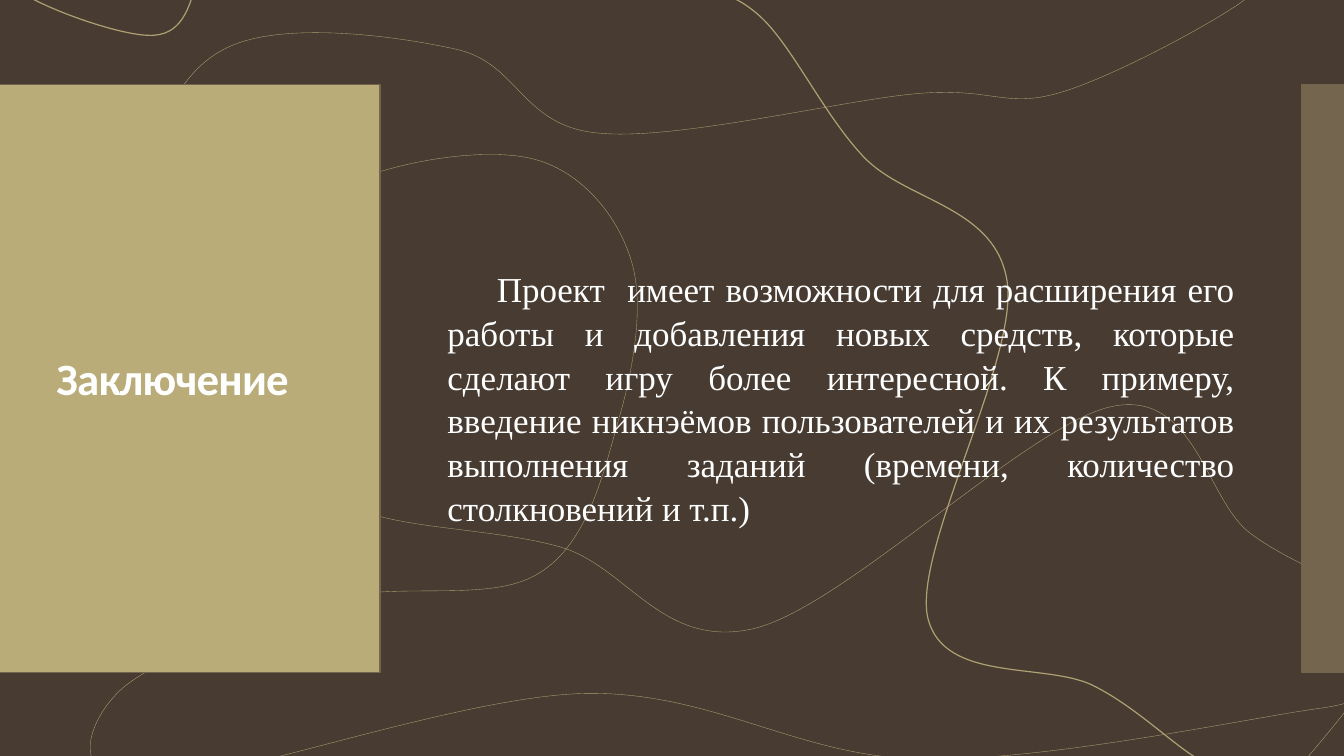
from dataclasses import dataclass
from itertools import chain
from lxml.etree import SubElement
from pptx import Presentation
from pptx.dml.color import RGBColor as RGB
from pptx.enum.shapes import MSO_SHAPE as SHAPE
from pptx.enum.text import MSO_ANCHOR as ANCHOR, PP_ALIGN as ALIGN
from pptx.oxml.ns import qn
from pptx.util import Inches, Pt

COLS, ROWS = 13.33, 7.5
PANEL_TOP, PANEL_ROWS = 0.84, 5.83


@dataclass(frozen=True)
class Theme:
    """Colours, fonts and sizes of the slide."""
    back: str = "41342E"
    sand: str = "B9AC78"
    umber: str = "74664E"
    text: str = "FFFFFF"
    title_font: str = "Calibri"
    body_font: str = "Times New Roman"
    title_size: float = 32
    body_size: float = 25
    thin: float = 0.25
    line: float = 0.85


class Deck:
    """Places elements on a slide by columns and rows of a one-inch grid."""

    def __init__(self, theme):
        """Open a title-only slide with a plain background."""
        self.theme = theme
        self.prs = Presentation()
        self.prs.slide_width, self.prs.slide_height = Inches(COLS), Inches(ROWS)
        self.s = self.prs.slides.add_slide(self.prs.slide_layouts[5])
        fill = self.s.background.fill
        fill.solid()
        fill.fore_color.rgb = RGB.from_string(theme.back)

    def panel(self, col, row, cols, rows, color, line=None, alpha=None):
        """Draw a filled rectangle, outlined or translucent on request."""
        sp = self.s.shapes.add_shape(SHAPE.RECTANGLE, *map(Inches, (col, row, cols, rows)))
        sp.shadow.inherit = False
        sp.fill.solid()
        sp.fill.fore_color.rgb = RGB.from_string(color)
        if alpha:
            srgb = next(sp._element.spPr.iter(qn("a:srgbClr")))
            SubElement(srgb, qn("a:alpha"), val=str(alpha * 1000))
        self.outline(sp, line, self.theme.line)

    def outline(self, sp, color, width):
        """Set or remove the outline of a shape."""
        if color is None:
            sp.line.fill.background()
            return
        sp.line.color.rgb = RGB.from_string(color)
        sp.line.width = Pt(width)

    def curve(self, width, start, *segments):
        """Draw an open line of cubic Bezier segments."""
        values = [Inches(v) for v in chain(start, *segments)]
        points = list(zip(values[::2], values[1::2]))
        builder = self.s.shapes.build_freeform(*points[0])
        builder.add_line_segments(points[1:], close=False)
        sp = builder.convert_to_shape()
        sp.shadow.inherit = False
        sp.fill.background()
        self.outline(sp, self.theme.sand, width)
        route = next(sp._element.iter(qn("a:path")))
        steps = route.findall(qn("a:lnTo"))
        for triple in zip(steps[::3], steps[1::3], steps[2::3]):
            bezier = SubElement(route, qn("a:cubicBezTo"))
            for step in triple:
                bezier.append(step[0])
                route.remove(step)

    def put_text(self, sp, box, text, font, size, align, bold=False):
        """Put one formatted paragraph into a shape and return it."""
        sp.left, sp.top, sp.width, sp.height = map(Inches, box)
        tf = sp.text_frame
        tf.text = text
        tf.word_wrap = True
        tf.vertical_anchor = ANCHOR.MIDDLE
        p = tf.paragraphs[0]
        p.alignment = align
        p.font.name, p.font.size, p.font.bold = font, Pt(size), bold
        p.font.color.rgb = RGB.from_string(self.theme.text)
        return p

    def body(self, box, text, indent):
        """Add the justified text with a first-line indent."""
        sp = self.s.shapes.add_textbox(*map(Inches, box))
        p = self.put_text(sp, box, text, self.theme.body_font, self.theme.body_size, ALIGN.JUSTIFY)
        p.line_spacing = 1.04
        pPr = p._p.get_or_add_pPr()
        pPr.set("marL", "0")
        pPr.set("indent", str(int(Inches(indent))))

    def title(self, box, text):
        """Fill the title placeholder and bring it to the front."""
        sp = self.s.shapes.title
        p = self.put_text(sp, box, text, self.theme.title_font, self.theme.title_size, ALIGN.LEFT, True)
        p.line_spacing = 0.9
        p.runs[0]._r.get_or_add_rPr().set("spc", "-60")
        self.s.shapes._spTree.append(sp._element)


def main():
    """Build the slide and save it."""
    t = Theme()
    deck = Deck(t)
    deck.curve(t.thin, (2.99, 4.24),
               (3.06, 4.55, 3.13, 4.85, 3.56, 5.05), (3.99, 5.25, 4.91, 5.24, 5.57, 5.43),
               (6.23, 5.63, 6.58, 6.46, 7.5, 6.23), (8.41, 5.99, 10.22, 4.19, 11.04, 4.03),
               (11.86, 3.87, 11.96, 4.96, 12.4, 5.29), (12.84, 5.62, 13.46, 5.8, 13.68, 6.02))
    deck.curve(t.line, (6.52, -0.09),
               (6.84, -0.12, 7.15, -0.16, 7.49, 0.12), (7.83, 0.39, 8.14, 1.1, 8.56, 1.55),
               (8.98, 2, 9.88, 2.04, 9.99, 2.8), (10.1, 3.56, 9.06, 5.45, 9.2, 6.12),
               (9.35, 6.79, 10.39, 6.56, 10.86, 6.81), (11.33, 7.05, 11.72, 7.48, 12, 7.59))
    deck.curve(t.thin, (1.32, 2.18),
               (1.5, 1.47, 1.68, 0.77, 2.22, 0.49), (2.75, 0.2, 3.91, 0.35, 4.53, 0.49),
               (5.15, 0.63, 5.17, 1.25, 5.93, 1.32), (6.69, 1.4, 8.32, 1, 9.08, 0.93),
               (9.84, 0.86, 9.96, 1.08, 10.51, 0.92), (11.06, 0.76, 12.14, 0.17, 12.38, -0.03))
    deck.curve(t.thin, (1.83, 3.29),
               (2.28, 2.73, 2.74, 2.17, 3.31, 1.88), (3.88, 1.6, 4.77, 1.46, 5.26, 1.57),
               (5.75, 1.68, 6.11, 2.12, 6.25, 2.55), (6.4, 2.98, 6.29, 3.63, 6.14, 4.15),
               (5.99, 4.68, 5.83, 5.4, 5.34, 5.69), (4.86, 5.99, 3.95, 5.76, 3.25, 5.95),
               (2.56, 6.15, 1.48, 6.56, 1.18, 6.86), (0.87, 7.16, 0.65, 7.76, 1.42, 7.76),
               (2.19, 7.77, 4.5, 6.92, 5.78, 6.88), (7.07, 6.85, 7.91, 7.51, 9.13, 7.53),
               (10.34, 7.56, 12.35, 7.13, 13.07, 7.03), (13.78, 6.94, 13.59, 6.69, 13.42, 6.95),
               (13.25, 7.22, 12.06, 8.55, 12.04, 8.61))
    deck.curve(t.line, (1.97, -0.28),
               (1.9, 0.02, 1.83, 0.33, 1.53, 0.35), (1.22, 0.38, 0.25, 0.02, 0.14, -0.14))
    deck.panel(-0.21, -0.22, 13.73, 7.95, t.umber, alpha=15)
    deck.body((4.34, 1.14, 8, 5.6),
              "Проект  имеет возможности для расширения его работы и добавления новых средств, "
              "которые сделают игру более интересной. К примеру, введение никнэёмов пользователей "
              "и их результатов выполнения заданий (времени, количество столкновений и т.п.)", 0.49)
    deck.panel(12.91, PANEL_TOP, 0.61, PANEL_ROWS, t.umber, t.umber)
    deck.panel(-0.01, PANEL_TOP, 3.78, PANEL_ROWS, t.sand, t.umber)
    deck.title((0.46, 1.26, 3.22, 5.03), "Заключение")
    deck.prs.save("out.pptx")


if __name__ == "__main__":
    main()
